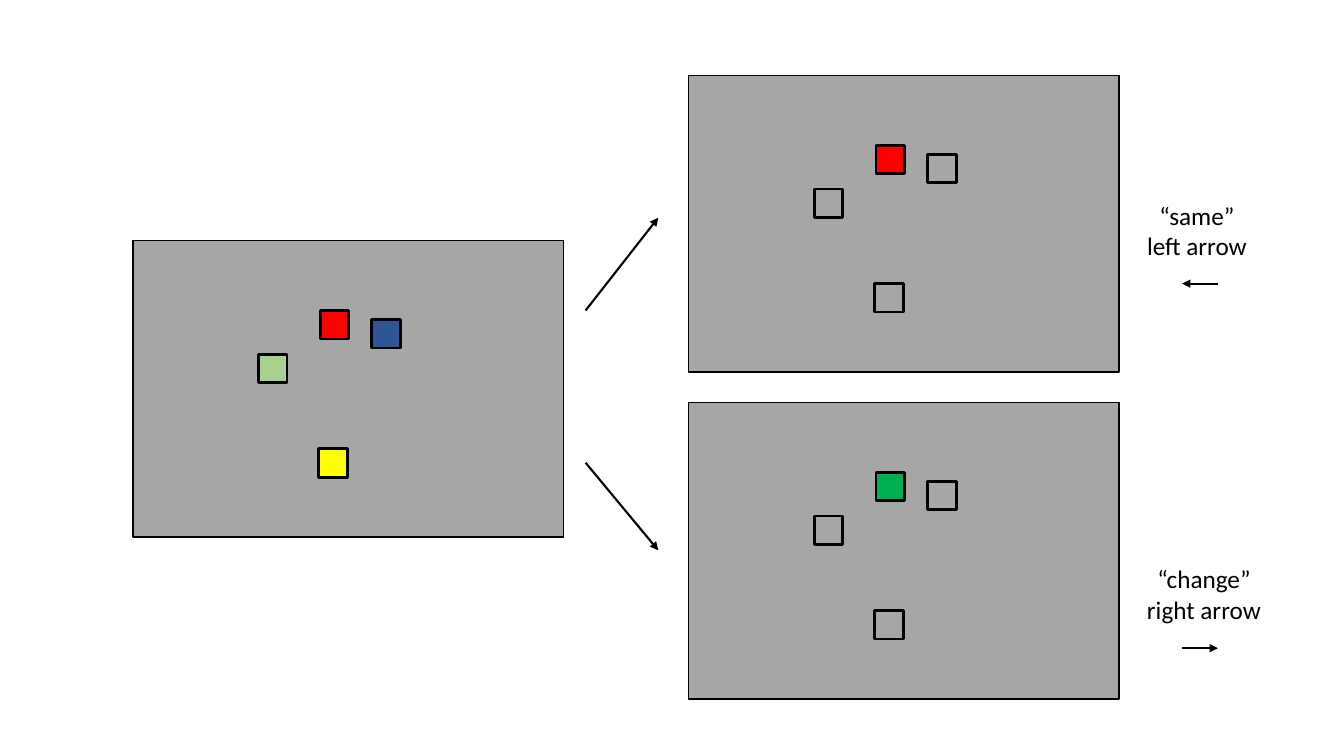
from lxml import etree
from pptx import Presentation
from pptx import util as u
from pptx.dml.color import RGBColor
from pptx.enum import shapes, text
from pptx.oxml.ns import qn

Pt = u.Pt
BLACK = RGBColor(0x00, 0x00, 0x00)
GREY = RGBColor(0xA6, 0xA6, 0xA6)
RED = RGBColor(0xFF, 0x00, 0x00)
YELLOW = RGBColor(0xFF, 0xFF, 0x00)
LIGHT_GREEN = RGBColor(0xA9, 0xD1, 0x8E)
BLUE = RGBColor(0x2F, 0x55, 0x97)
GREEN = RGBColor(0x00, 0xB0, 0x50)

prs = Presentation()
prs.slide_width, prs.slide_height = Pt(960), Pt(540)
s = prs.slides.add_slide(prs.slide_layouts[6])


def add_rect(parent, x, y, w, h, fill=None, line=1):
    sp = parent.shapes.add_shape(shapes.MSO_SHAPE.RECTANGLE, Pt(x), Pt(y), Pt(w), Pt(h))
    sp.shadow.inherit = False
    if fill is None:
        sp.fill.background()
    else:
        sp.fill.solid()
        sp.fill.fore_color.rgb = fill
    sp.line.color.rgb = BLACK
    sp.line.width = Pt(line)


def add_label(words, x, y, w, h, size=18, font="Calibri", color=BLACK):
    tf = s.shapes.add_textbox(Pt(x), Pt(y), Pt(w), Pt(h)).text_frame
    tf.word_wrap = False
    tf.auto_size = text.MSO_AUTO_SIZE.SHAPE_TO_FIT_TEXT
    tf.text = words
    for p in tf.paragraphs:
        p.alignment = text.PP_ALIGN.CENTER
        for r in p.runs:
            r.font.size = Pt(size)
            r.font.name = font
            r.font.color.rgb = color


# Displays: the memory array, then the "same" and "change" probes
PANEL_W, PANEL_H, SQUARE = 307.4, 211.7, 20.4
square_offsets = [(133.8, 49.8), (132.8, 148.5), (89.6, 81), (170.6, 56.2)]
displays = [
    (95, 172, [RED, YELLOW, LIGHT_GREEN, BLUE]),
    (492, 54, [RED, None, None, None]),
    (492, 287.6, [GREEN, None, None, None]),
]
for x, y, fills in displays:
    group = s.shapes.add_group_shape()
    add_rect(group, x, y, PANEL_W, PANEL_H, fill=GREY)
    for (dx, dy), fill in zip(square_offsets, fills):
        add_rect(group, x + dx, y + dy, SQUARE, SQUARE, fill=fill, line=2)

# Response labels
add_label("\u201csame\u201d\vleft arrow", 811.4, 139.7, 87.1, 51)
add_label("\u201cchange\u201d\nright arrow", 810, 399, 100, 51)

# Arrows: to each probe, then the left and right response keys
arrows = [
    (418.3, 221.8, 470.2, 155.5),
    (418.3, 330.5, 470.2, 393.1),
    (870, 202.6, 844.4, 202.6),
    (844.4, 463, 870, 463),
]
for ends in arrows:
    arrow = s.shapes.add_connector(shapes.MSO_CONNECTOR.STRAIGHT, *[Pt(v) for v in ends])
    arrow.line.color.rgb = BLACK
    arrow.line.width = Pt(1.5)
    etree.SubElement(arrow.line._get_or_add_ln(), qn("a:tailEnd"), type="triangle")
    etree.SubElement(arrow._element.spPr, qn("a:effectLst"))

prs.save("out.pptx")
